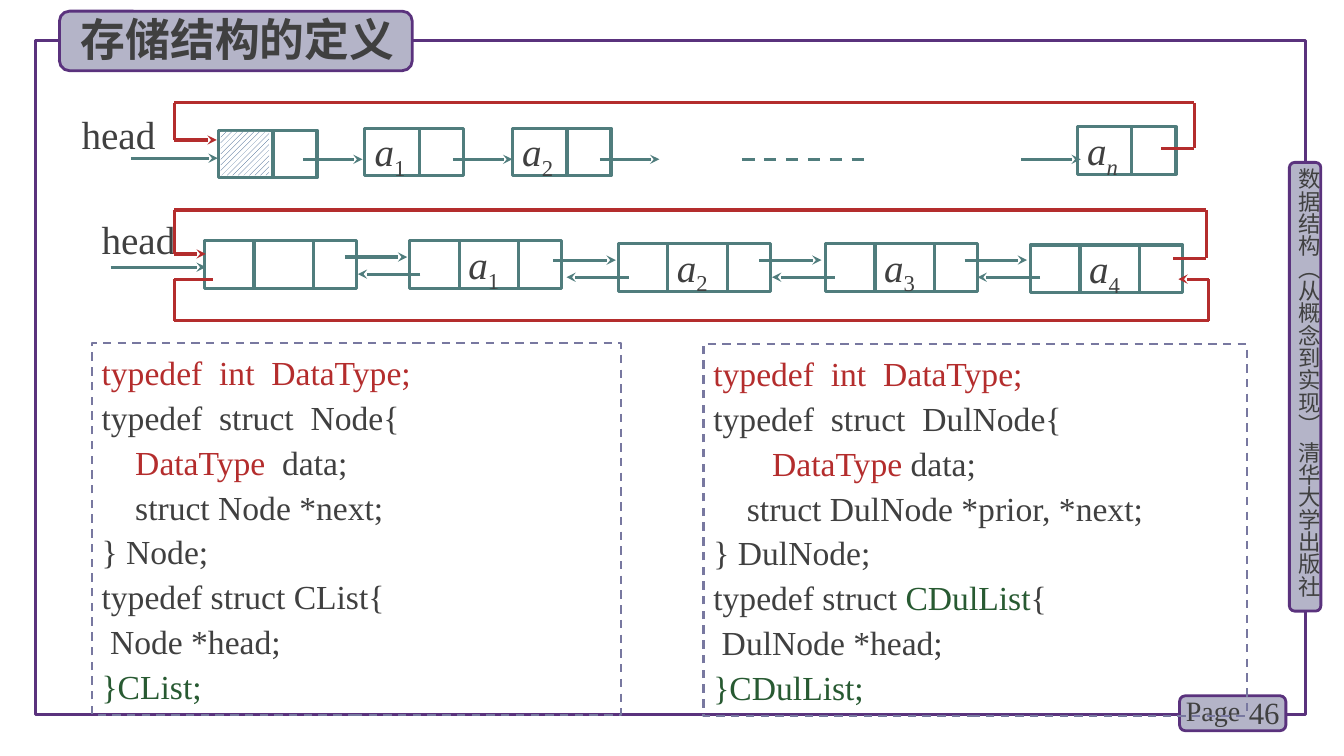
import itertools
import pptx
import pptx.dml.color
import pptx.enum.dml
import pptx.enum.shapes
import pptx.enum.text
import pptx.oxml.ns
import pptx.util
import lxml.etree

Pt = pptx.util.Pt
SHAPE = pptx.enum.shapes.MSO_SHAPE
ALIGN = pptx.enum.text.PP_ALIGN
ANCHOR = pptx.enum.text.MSO_ANCHOR
DASH = pptx.enum.dml.MSO_LINE.DASH

COLOURS = {"frame": "5A327D", "badge": "B4B4C8", "text": "404040", "node": "507D7D",
           "ring": "B42D2D", "type": "B42D2D", "name": "285A32", "code": "7878A0",
           "hatch": "1F497D", "paper": "FFFFFF"}
SERIF, SANS = "Times New Roman", "Noto Sans CJK SC"

# Content: badges as left, top, width, height
BADGES = [(921, 116, 22.5, 320.5), (842.5, 497, 76, 25), (42.5, 8, 252, 42.5)]
TITLE = "存储结构的定义"
BOOK = "数据结构（从概念到实现） 清华大学出版社"
PAGE = ("Page", "46")

# Linked lists: nodes as left, top, subscript; arrows as start x, y
SINGLY = {
    "nodes": [(156, 93, ""), (260.5, 91.5, "1"), (366, 91.5, "2"), (769.5, 90.5, "n")],
    "size": (70.5, 34), "dividers": [39], "inset": 7,
    "next": [(216.5, 113.8), (323.5, 113.8), (428.5, 113.8), (729.5, 113.8)],
    "reach": 42.5, "prior": False,
    "head": (58.3, 78.5, 0), "entry": [(93.5, 113), (155.5, 113)],
    "rings": [([(829.5, 106), (853, 106), (853, 73.4), (124.5, 73.4),
                (124.5, 100), (154.8, 100)])],
}
DOUBLY = {
    "nodes": [(146, 172, ""), (292.5, 172, "1"), (441.5, 174, "2"),
              (589.5, 174, "3"), (736, 175, "4")],
    "size": (108.7, 34), "dividers": [35.5, 78], "inset": 42,
    "next": [(246.3, 183.6), (395.3, 185.8), (542.2, 185.8), (689, 185.8)],
    "reach": 44.6, "prior": True,
    "head": (65.5, 150.5, 7.2), "entry": [(79, 190.8), (147, 190.8)],
    "rings": [[(838, 184.5), (861.8, 184.5), (861.8, 150), (124.5, 150),
               (124.5, 181.4), (147, 181.4)],
              [(152, 199.4), (124.5, 199.4), (124.5, 229), (863.3, 229),
               (863.3, 199.4), (841.7, 199.4)]],
}
PRIOR_SHIFT = (9.3, 12.2)
ELLIPSIS = [(530, 113.8), (623.5, 113.8)]

# Code panels: box, then lines of (text, colour) runs
CODE = [
    ((65.5, 244.8, 378, 265.7), [
        [("typedef  int  DataType;", "type")],
        [("typedef  struct  Node{", "text")],
        [("    ", "text"), ("DataType", "type"), ("  data;", "text")],
        [("    struct Node *next;", "text")],
        [("} Node;", "text")],
        [("typedef struct CList{", "text")],
        [(" Node *head;", "text")],
        [("}CList;", "name")]]),
    ((502.5, 245.5, 388, 265.7), [
        [("typedef  int  DataType;", "type")],
        [("typedef  struct  DulNode{", "text")],
        [("       ", "text"), ("DataType", "type"), (" data;", "text")],
        [("    struct DulNode *prior, *next;", "text")],
        [("} DulNode;", "text")],
        [("typedef struct ", "text"), ("CDulList", "name"), ("{", "text")],
        [(" DulNode *head;", "text")],
        [("}CDulList;", "name")]]),
]

deck = pptx.Presentation()
deck.slide_width, deck.slide_height = Pt(960), Pt(540)
slide = deck.slides.add_slide(deck.slide_layouts[6])


def rgb(colour):
    return pptx.dml.color.RGBColor.from_string(COLOURS[colour])


def add_box(box, line="node", weight=2.25, fill=None, kind=SHAPE.RECTANGLE):
    shape = slide.shapes.add_shape(kind, *map(Pt, box))
    shape.shadow.inherit = False
    if fill:
        shape.fill.solid()
        shape.fill.fore_color.rgb = rgb(fill)
    else:
        shape.fill.background()
    if line:
        shape.line.color.rgb = rgb(line)
        shape.line.width = Pt(weight)
    else:
        shape.line.fill.background()
    return shape


def add_line(start, end, colour="node", arrow=False):
    line = slide.shapes.add_connector(pptx.enum.shapes.MSO_CONNECTOR.STRAIGHT,
                                      *map(Pt, start + end))
    line.line.color.rgb = rgb(colour)
    line.line.width = Pt(2.25)
    if arrow:
        lxml.etree.SubElement(line.line._get_or_add_ln(),
                              pptx.oxml.ns.qn("a:tailEnd"), type="stealth")
    lxml.etree.SubElement(line._element.spPr, pptx.oxml.ns.qn("a:effectLst"))
    return line


def add_run(paragraph, text, size, colour="text", font=SERIF, bold=False,
            italic=False, subscript=False):
    run = paragraph.add_run()
    run.text = text
    run.font.size, run.font.name = Pt(size), font
    run.font.bold, run.font.italic = bold, italic
    run.font.color.rgb = rgb(colour)
    lxml.etree.SubElement(run.font._element, pptx.oxml.ns.qn("a:ea"), typeface=font)
    if subscript:
        run.font._element.set("baseline", "-25000")


def set_frame(shape, insets=(7.2, 3.6, 7.2, 3.6), anchor=ANCHOR.TOP):
    frame = shape.text_frame
    (frame.margin_left, frame.margin_top,
     frame.margin_right, frame.margin_bottom) = map(Pt, insets)
    frame.word_wrap, frame.vertical_anchor = True, anchor
    frame.paragraphs[0].alignment = ALIGN.LEFT
    return frame


def add_label(box, text, size, insets=(7.2, 3.6, 7.2, 3.6), **style):
    frame = set_frame(slide.shapes.add_textbox(*map(Pt, box)), insets)
    add_run(frame.paragraphs[0], text, size, **style)
    return frame


def add_linked_list(chain):
    width, height = chain["size"]
    for left, top, index in chain["nodes"]:
        node = add_box((left, top, width, height))
        for offset in chain["dividers"]:
            add_line((left + offset, top), (left + offset, top + height))
        if index:
            label = set_frame(node, (chain["inset"], 0, 0, 6)).paragraphs[0]
            label.line_spacing = 0.9
            add_run(label, "a", 28, italic=True)
            add_run(label, index, 28, italic=index == "n", subscript=True)
    for x, y in chain["next"]:
        add_line((x, y), (x + chain["reach"], y), arrow=True)
        if chain["prior"]:
            back, below = x + PRIOR_SHIFT[0], y + PRIOR_SHIFT[1]
            add_line((back + chain["reach"], below), (back, below), arrow=True)
    left, top, inset = chain["head"]
    add_label((left, top, 80, 41), "head", 28, (inset, inset / 2, 0, 3))
    add_line(*chain["entry"], arrow=True)
    for ring in chain["rings"]:
        for start, end in itertools.pairwise(ring):
            add_line(start, end, "ring", arrow=end == ring[-1])


# Frame, badges and their wording
add_box((25.2, 28.8, 907.2, 481.7), "frame")
for badge in BADGES:
    add_box(badge, "frame", 2, "badge", SHAPE.ROUNDED_RECTANGLE)
add_label((50.5, 5, 244, 46), TITLE, 32, font=SANS, bold=True)
book = add_label((925, 120, 19.5, 323), BOOK, 16, (0, 0, 0, 0), font=SANS)
book._txBody.bodyPr.set("vert", "eaVert")
add_label((840, 491.8, 56, 31.7), PAGE[0], 20)
number = add_label((878.5, 494, 42.5, 28.8), PAGE[1], 22)
number.vertical_anchor = ANCHOR.MIDDLE
number.paragraphs[0].alignment = ALIGN.RIGHT

# Linked lists
add_linked_list(SINGLY)
add_linked_list(DOUBLY)
add_line(*ELLIPSIS).line.dash_style = DASH

# Hatched head cell
hatch = add_box((157.7, 94.3, 34.5, 31), None)
hatch.fill.patterned()
hatch.fill.pattern = pptx.enum.dml.MSO_PATTERN.WIDE_UPWARD_DIAGONAL
hatch.fill.fore_color.rgb = rgb("hatch")
hatch.fill.back_color.rgb = rgb("paper")

# Code panels
for box, lines in CODE:
    panel = add_box(box, "code", 1.5)
    panel.line.dash_style = DASH
    listing = set_frame(panel)
    for row, runs in enumerate(lines):
        paragraph = listing.add_paragraph() if row else listing.paragraphs[0]
        paragraph.alignment = ALIGN.LEFT
        paragraph.line_spacing = Pt(32)
        for text, colour in runs:
            add_run(paragraph, text, 24, colour)

deck.save("out.pptx")
